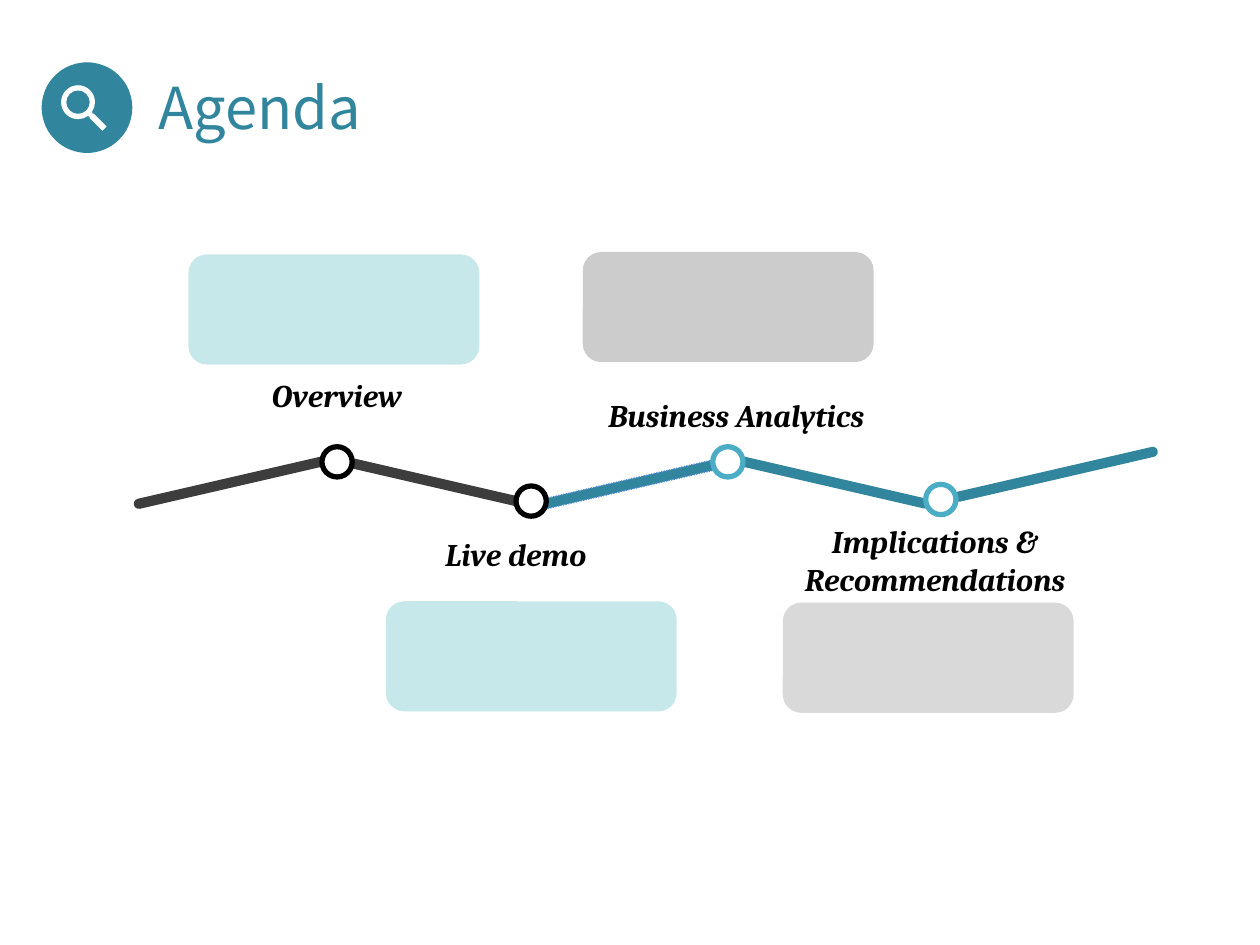
from math import cos, radians, sin, tan
from lxml import etree
from pptx import Presentation
from pptx.dml.color import RGBColor
from pptx.enum.dml import MSO_LINE
from pptx.enum.shapes import MSO_SHAPE
from pptx.enum.text import MSO_ANCHOR, PP_ALIGN
from pptx.oxml.ns import qn
from pptx.util import Pt

OVAL = MSO_SHAPE.OVAL
ROUND = MSO_SHAPE.ROUNDED_RECTANGLE
MIDDLE, TOP = MSO_ANCHOR.MIDDLE, MSO_ANCHOR.TOP
LEFT, CENTER = PP_ALIGN.LEFT, PP_ALIGN.CENTER
DOTTED = MSO_LINE.ROUND_DOT

COLORS = {
    "teal": "31859C", "aqua": "0097A7", "sky": "4BACC6", "blue": "558ED5",
    "dark": "3D3D3D", "silver": "CCCCCC", "pale": "D9D9D9",
    "black": "000000", "white": "FFFFFF",
}

BAR = (119.5, 5.8)
DOT = 17.3
CARD = (166.2, 62.9)
TILT = 13

# Bars: left, top, fill, line; they rise and fall in turn
BARS = [
    (0, 128.2, "dark", None),
    (111.4, 128.2, "dark", None),
    (224.5, 130, "teal", "blue"),
    (338.2, 128, "teal", None),
    (468.6, 124.1, "teal", None),
]

# Stops: text, label (left, top, width), dot, dot line, card, card fill, alpha
STOPS = [
    ("Overview", (62.5, 63.4, 110.2), (109, 111.3), "black",
     (32.7, 1.4), "aqua", 22),
    ("Live demo", (131.6, 154.5, 176.4), (219.9, 133.7), "black",
     (145.5, 199.6), "aqua", 22),
    ("Business Analytics", (247.8, 75.1, 195.8), (332.3, 111.3), "sky",
     (258, 0), "silver", None),
    ("Implications & Recommendations", (372.2, 147.3, 174.2), (454, 132.8),
     "sky", (372.3, 200.4), "pale", None),
]


def rgb(name):
    return RGBColor.from_string(COLORS[name])


def paint(shape, fill, line=None, width=0.75):
    shape.shadow.inherit = False
    shape.fill.solid()
    shape.fill.fore_color.rgb = rgb(fill)
    if line:
        shape.line.color.rgb = rgb(line)
        shape.line.width = Pt(width)
    else:
        shape.line.fill.background()


def add_shape(slide, kind, x, y, w, h, fill, line=None, width=0.75):
    shape = slide.shapes.add_shape(kind, Pt(x), Pt(y), Pt(w), Pt(h))
    paint(shape, fill, line, width)
    return shape


def fade(shape, alpha):
    color = shape.fill._xPr.find(qn("a:solidFill"))[0]
    etree.SubElement(color, qn("a:alpha")).set("val", str(alpha * 1000))


def write(shape, text, font, size, color, align, anchor, strong=False):
    frame = shape.text_frame
    frame.word_wrap = True
    frame.vertical_anchor = anchor
    frame.text = text
    para = frame.paragraphs[0]
    para.alignment = align
    style = para.runs[0].font
    style.name, style.size = font, Pt(size)
    style.color.rgb = rgb(color)
    style.bold = style.italic = strong
    return frame


def arc(x, y, radius, stops):
    """Start point, then two handles and an end point for each curve."""
    points = [(x + radius * cos(radians(stops[0])),
               y + radius * sin(radians(stops[0])))]
    for a, b in zip(stops, stops[1:]):
        a, b = radians(a), radians(b)
        k = 4 / 3 * tan((b - a) / 4)
        points += [
            (x + radius * (cos(a) - k * sin(a)), y + radius * (sin(a) + k * cos(a))),
            (x + radius * (cos(b) + k * sin(b)), y + radius * (sin(b) - k * cos(b))),
            (x + radius * cos(b), y + radius * sin(b)),
        ]
    return points


def bend(lines):
    """Join each three lines into one curve."""
    for i in range(0, len(lines), 3):
        curve = etree.Element(qn("a:cubicBezTo"))
        lines[i].addprevious(curve)
        for line in lines[i:i + 3]:
            curve.append(line[0])
            line.getparent().remove(line)


def add_lens(slide, x, y):
    """Magnifier: ring and handle in one outline, with a round hole."""
    rim = arc(x + 9.7, y + 9.7, 9.7, [35, 0, -90, -180, -270, -305])
    grip = [(x + 16.3, y + 18), (x + 16.3, y + 18.7), (x + 23.6, y + 26),
            (x + 26, y + 23.6), (x + 18.7, y + 16.3), (x + 18, y + 16.3)]
    hole = arc(x + 9.7, y + 9.7, 6.7, [0, 90, 180, 270, 360])
    build = slide.shapes.build_freeform(*rim[0], scale=Pt(1) / 100)
    build = slide.shapes.build_freeform(
        *(v * 100 for v in rim[0]), scale=Pt(1) / 100)
    build.add_line_segments([(a * 100, b * 100) for a, b in rim[1:] + grip])
    build.move_to(*(v * 100 for v in hole[0]))
    build.add_line_segments(
        [(a * 100, b * 100) for a, b in hole[1:]], close=False)
    lens = build.convert_to_shape()
    paint(lens, "white")
    lines = list(lens._element.iter(qn("a:lnTo")))
    bend(lines[:len(rim) - 1])
    bend(lines[1 - len(hole):])


def add_head(slide, x, y, w, h):
    # Badge
    add_shape(slide, OVAL, x, y + 19.6, 51.8, 51.8, "teal")
    add_lens(slide, x + 11.1, y + 32.7)
    # Title
    title = slide.shapes.title
    title.left, title.top = Pt(x + 59.7), Pt(y)
    title.width, title.height = Pt(w - 59.7), Pt(h)
    write(title, "Agenda", "Noto Sans CJK SC", 33, "teal", LEFT, MIDDLE)


def add_stop(slide, x, y, text, label, dot, ring, card, fill, alpha):
    # Card
    panel = add_shape(slide, ROUND, x + card[0], y + card[1], *CARD, fill)
    panel.adjustments[0] = 0.167
    if alpha:
        fade(panel, alpha)
    # Dot
    add_shape(slide, OVAL, x + dot[0], y + dot[1], DOT, DOT, "white", ring, 3)
    # Label
    left, top, width = label
    box = slide.shapes.add_textbox(Pt(x + left), Pt(y + top), Pt(width), Pt(41.8))
    frame = write(box, text, "Cambria", 18, "black", CENTER, TOP, True)
    frame.margin_left = frame.margin_right = Pt(7.2)
    frame.margin_top = frame.margin_bottom = Pt(7.2)


def add_road(slide, x, y):
    for i, (left, top, fill, line) in enumerate(BARS):
        bar = add_shape(slide, ROUND, x + left, y + top, *BAR, fill, line)
        bar.adjustments[0] = 0.5
        bar.rotation = TILT if i % 2 else 360 - TILT
        if line:
            bar.line.dash_style = DOTTED
    for stop in STOPS:
        add_stop(slide, x, y, *stop)


def main():
    deck = Presentation()
    deck.slide_width, deck.slide_height = Pt(720), Pt(540)
    slide = deck.slides.add_slide(deck.slide_layouts[5])
    add_head(slide, 23.8, 16, 696.2, 90)
    add_road(slide, 75, 144)
    deck.save("out.pptx")


if __name__ == "__main__":
    main()
